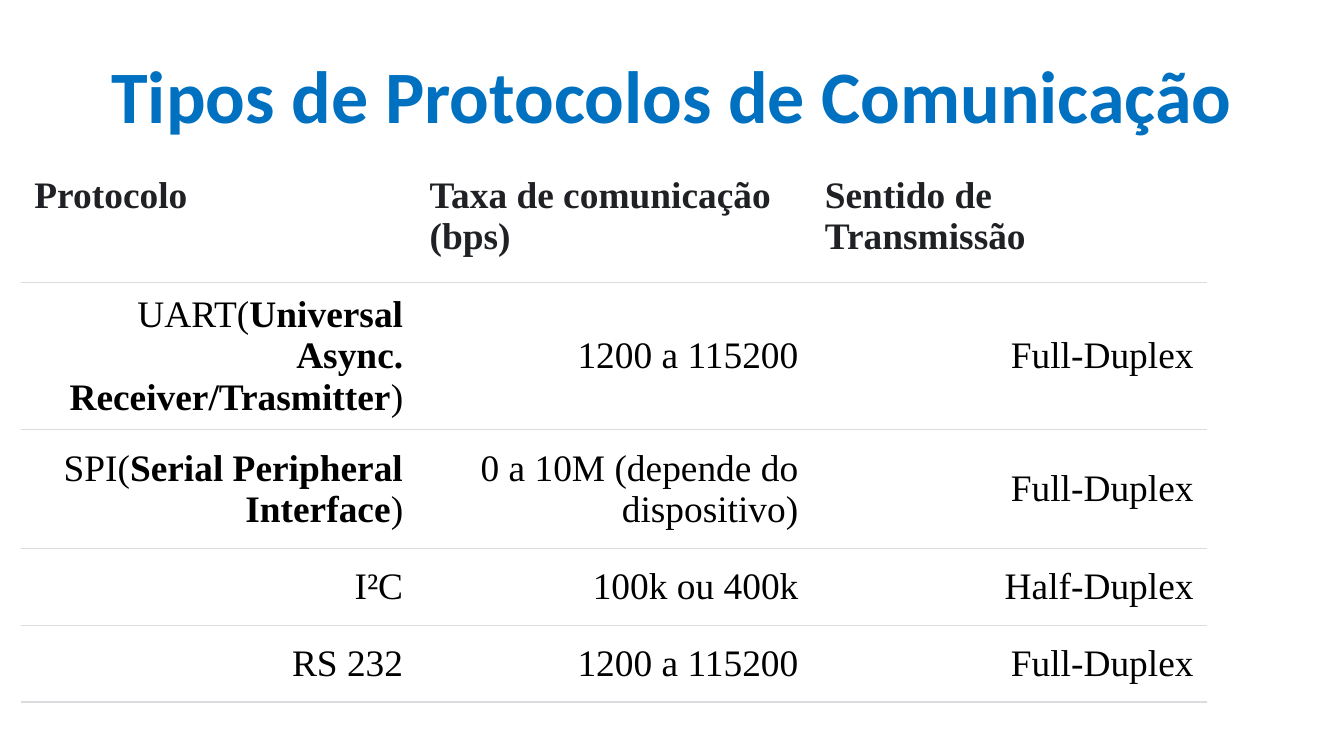
from pptx import Presentation
from pptx.dml.color import RGBColor
from pptx.enum.text import MSO_ANCHOR as Anchor, PP_ALIGN as Align
from pptx.oxml.ns import qn
from pptx.util import Cm, Pt
from lxml.etree import SubElement

BLUE = RGBColor(0x00, 0x70, 0xC0)
DARK = RGBColor(0x20, 0x21, 0x24)
BLACK = RGBColor(0x00, 0x00, 0x00)
WHITE = RGBColor(0xFF, 0xFF, 0xFF)
GREY = RGBColor(0xDA, 0xDC, 0xE0)

COLUMN_WIDTH = Cm(7.47)
ROW_HEIGHTS = [Cm(2.24), Cm(2.78), Cm(2.24), Cm(1.45), Cm(1.45)]
HEADERS = ["Protocolo", "Taxa de comunicação (bps)", "Sentido de Transmissão"]
PROTOCOLS = [
    [("UART(", "Universal Async. Receiver/Trasmitter", ")"), "1200 a 115200", "Full-Duplex"],
    [("SPI(", "Serial Peripheral Interface", ")"), "0 a 10M (depende do dispositivo)", "Full-Duplex"],
    ["I²C", "100k ou 400k", "Half-Duplex"],
    ["RS 232", "1200 a 115200", "Full-Duplex"],
]


def add_text(paragraph, text, size=20, font="Times New Roman", color=BLACK, bold=False):
    run = paragraph.add_run()
    run.text = text
    run.font.size = Pt(size)
    run.font.name = font
    run.font.color.rgb = color
    run.font.bold = bold


def set_border(cell, side, color=None):
    line = SubElement(cell._tc.get_or_add_tcPr(), qn(f"a:ln{side}"), w=str(Pt(0.75)))
    if color is None:
        SubElement(line, qn("a:noFill"))
    else:
        fill = SubElement(line, qn("a:solidFill"))
        SubElement(fill, qn("a:srgbClr"), val=str(color))


def format_cell(cell, is_header):
    cell.margin_left = cell.margin_right = Cm(0.25)
    cell.margin_top = cell.margin_bottom = Cm(0.2)
    cell.vertical_anchor = Anchor.TOP if is_header else Anchor.MIDDLE
    set_border(cell, "L")
    set_border(cell, "R")
    set_border(cell, "T", None if is_header else GREY)
    set_border(cell, "B", GREY)
    cell.fill.solid()
    cell.fill.fore_color.rgb = WHITE


def fill_header(cell, text):
    format_cell(cell, True)
    paragraph = cell.text_frame.paragraphs[0]
    paragraph.alignment = Align.LEFT
    add_text(paragraph, text, color=DARK, bold=True)


def fill_body(cell, content):
    format_cell(cell, False)
    paragraph = cell.text_frame.paragraphs[0]
    paragraph.alignment = Align.RIGHT
    parts = [content] if isinstance(content, str) else content
    for index, part in enumerate(parts):
        add_text(paragraph, part, bold=index == 1)


def add_title(slide, text):
    title = slide.shapes.title
    title.left, title.top, title.width, title.height = Cm(1.27), Cm(0.58), Cm(22.86), Cm(2.39)
    frame = title.text_frame
    frame.word_wrap = True
    frame.vertical_anchor = Anchor.MIDDLE
    frame.margin_left = frame.margin_right = Cm(0.13)
    frame.margin_top = frame.margin_bottom = Cm(0.13)
    paragraph = frame.paragraphs[0]
    paragraph.alignment = Align.CENTER
    add_text(paragraph, text, size=39.6, font="Calibri", color=BLUE, bold=True)


def add_protocol_table(slide):
    table = slide.shapes.add_table(
        len(ROW_HEIGHTS), len(HEADERS), Cm(0.4), Cm(3.1),
        COLUMN_WIDTH * len(HEADERS), sum(ROW_HEIGHTS),
    ).table
    table.first_row = False
    table.horz_banding = False
    for column in table.columns:
        column.width = COLUMN_WIDTH
    for row, height in zip(table.rows, ROW_HEIGHTS):
        row.height = height
    for column_index, header in enumerate(HEADERS):
        fill_header(table.cell(0, column_index), header)
    for row_index, protocol in enumerate(PROTOCOLS, start=1):
        for column_index, content in enumerate(protocol):
            fill_body(table.cell(row_index, column_index), content)


def main():
    presentation = Presentation()
    presentation.slide_width = Cm(25.4)
    presentation.slide_height = Cm(14.28)
    slide = presentation.slides.add_slide(presentation.slide_layouts[5])
    add_title(slide, "Tipos de Protocolos de Comunicação")
    add_protocol_table(slide)
    presentation.save("out.pptx")


if __name__ == "__main__":
    main()
